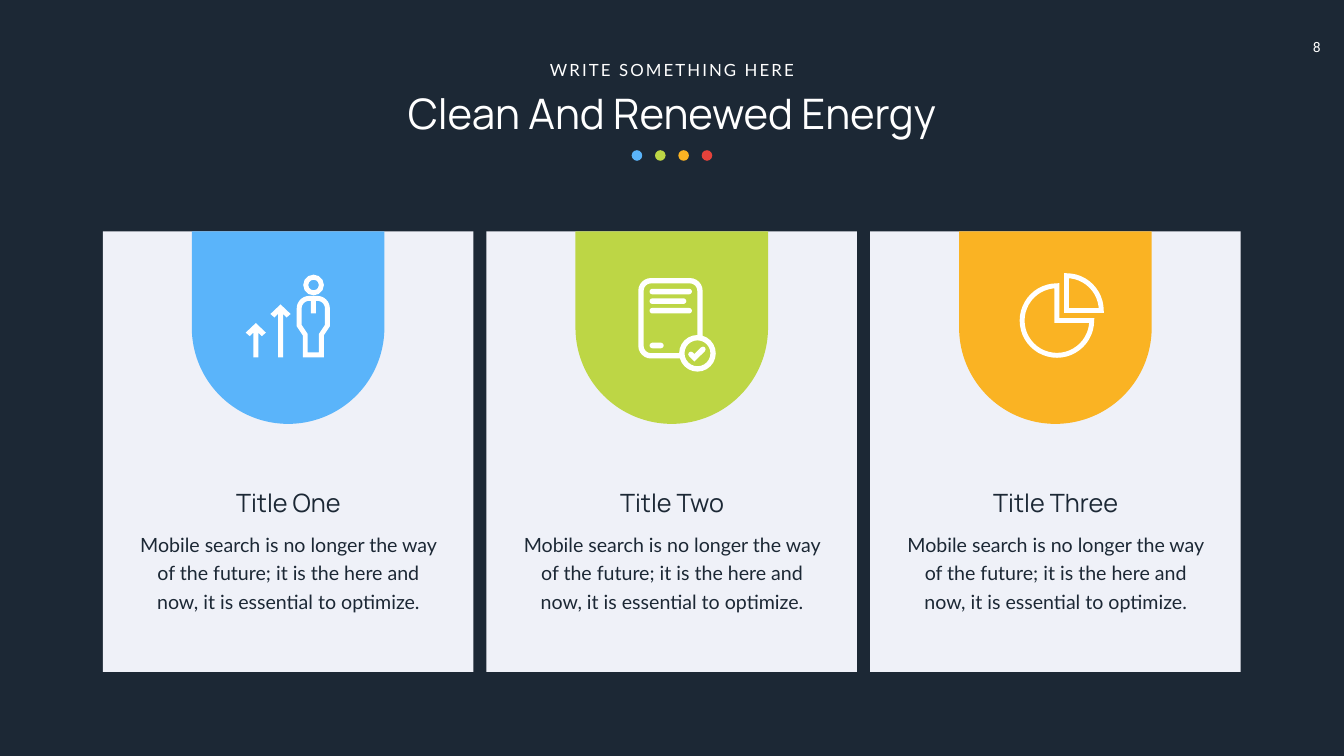
from math import cos, pi, sin

from lxml.etree import SubElement
from pptx import Presentation
from pptx.dml.color import RGBColor
from pptx.enum.shapes import MSO_SHAPE
from pptx.enum.text import MSO_ANCHOR, PP_ALIGN
from pptx.oxml.ns import qn
from pptx.util import Inches, Pt

NAVY, WHITE, PALE = "1C2835", "FFFFFF", "EFF1F8"
BLUE, GREEN, AMBER, RED = "5AB4FA", "BDD645", "FAB323", "E5423B"
BODY = ("Mobile search is no longer the way of the future; "
        "it is the here and now, it is essential to optimize.")


def rgb(value):
    return RGBColor.from_string(value)


def paint(sp, fill=None, stroke=None):
    sp.shadow.inherit = False
    if fill:
        sp.fill.solid()
        sp.fill.fore_color.rgb = rgb(fill)
    else:
        sp.fill.background()
    if stroke:
        sp.line.width = Pt(stroke)
        sp.line.color.rgb = rgb(WHITE)
        SubElement(sp.line._get_or_add_ln(), qn("a:miter"), lim="800000")
    else:
        sp.line.fill.background()
    return sp


def add_preset(slide, kind, x, y, w, h, fill=None, stroke=None):
    sp = slide.shapes.add_shape(kind, Inches(x), Inches(y), Inches(w), Inches(h))
    return paint(sp, fill, stroke)


def add_outline(slide, points, close=True, fill=None, stroke=None):
    points = [(Inches(x), Inches(y)) for x, y in points]
    builder = slide.shapes.build_freeform(*points[0], scale=1.0)
    builder.add_line_segments(points[1:], close=close)
    return paint(builder.convert_to_shape(), fill, stroke)


def write(sp, text, size, font, color, line_pt=None):
    tf = sp.text_frame
    tf.word_wrap = True
    p = tf.paragraphs[0]
    p.text = text
    p.alignment = PP_ALIGN.CENTER
    if line_pt:
        p.line_spacing = Pt(line_pt)
    p.font.size = Pt(size)
    p.font.name = font
    p.font.color.rgb = rgb(color)
    return tf


def add_text(slide, x, y, w, h, *style):
    sp = slide.shapes.add_textbox(Inches(x), Inches(y), Inches(w), Inches(h))
    return write(sp, *style)


def growth_icon(slide, x, y, fill):
    for tip_x, tip_y in ((1.27, 1.82), (1.76, 1.45)):
        length = 2.5 - tip_y
        half = [(0.2, 0.19), (0.12, 0.26), (0.05, 0.19), (0.05, length)]
        arrow = [(0, 0)] + half + [(-dx, dy) for dx, dy in reversed(half)]
        add_outline(slide, [(x + tip_x + dx, y + tip_y + dy) for dx, dy in arrow], fill=WHITE)
    angles = [i * pi / 16 for i in range(9)]
    shoulder = [(0.08 + 0.2 * sin(a), 1.53 - 0.2 * cos(a)) for a in angles]
    side = shoulder + [(0.28, 1.87), (0.16, 2.05), (0.16, 2.45)]
    body = side + [(-dx, dy) for dx, dy in reversed(side)]
    add_outline(slide, [(x + 2.41 + dx, y + dy) for dx, dy in body], stroke=7)
    add_preset(slide, MSO_SHAPE.RECTANGLE, x + 2.36, y + 1.33, 0.1, 0.3, WHITE)
    add_preset(slide, MSO_SHAPE.OVAL, x + 2.26, y + 0.91, 0.31, 0.31, stroke=7)


def document_icon(slide, x, y, fill):
    sheet = add_preset(slide, MSO_SHAPE.ROUNDED_RECTANGLE,
                       x + 1.3, y + 0.98, 1.17, 1.49, stroke=7.6)
    sheet.adjustments[0] = 0.17
    for top, width in ((1.14, 0.84), (1.33, 0.73), (1.52, 0.84), (2.21, 0.28)):
        bar = add_preset(slide, MSO_SHAPE.ROUNDED_RECTANGLE,
                         x + 1.47, y + top, width, 0.11, WHITE)
        bar.adjustments[0] = 0.5
    add_preset(slide, MSO_SHAPE.OVAL, x + 2.11, y + 2.11, 0.62, 0.62, fill, 7.6)
    check = [(2.29, 2.44), (2.36, 2.51), (2.53, 2.34)]
    tick = add_outline(slide, [(x + dx, y + dy) for dx, dy in check], close=False, stroke=7.6)
    tick.line._get_or_add_ln().set("cap", "rnd")


def pie_icon(slide, x, y, fill):
    add_preset(slide, MSO_SHAPE.PIE, x + 1.25, y + 1.08, 1.38, 1.38, stroke=7)
    wedge = add_preset(slide, MSO_SHAPE.PIE_WEDGE, x + 2.13, y + 0.88, 0.69, 0.69, stroke=7)
    wedge.rotation = 90


def add_header(slide, x, y, w):
    title = slide.shapes.title
    title.left, title.top = Inches(x), Inches(y + 0.55)
    title.width, title.height = Inches(w), Inches(1.11)
    tf = write(title, "Clean And Renewed Energy", 60, "Manrope", WHITE)
    tf.vertical_anchor = MSO_ANCHOR.MIDDLE
    center = x + w / 2
    tf = add_text(slide, center - 2.57, y, 5.14, 0.5,
                  "WRITE SOMETHING HERE", 24, "Lato", WHITE)
    tf.paragraphs[0].runs[0]._r.get_or_add_rPr().set("spc", "300")
    for i, color in enumerate((BLUE, GREEN, AMBER, RED)):
        add_preset(slide, MSO_SHAPE.OVAL, center - 0.8 + i * 0.463, y + 1.85, 0.21, 0.21, color)


def add_page_number(slide, x, y, w, h):
    tf = add_text(slide, x, y, w, h, "8", 20, "Roboto", WHITE)
    tf.margin_left, tf.margin_right = Inches(0.2), Inches(0.35)
    tf.margin_top = tf.margin_bottom = Inches(0.1)


def add_card(slide, x, y, w, h, heading, color, draw_icon):
    add_preset(slide, MSO_SHAPE.RECTANGLE, x, y, w, h, PALE)
    center = x + w / 2
    add_text(slide, center - 3.06, y + 5.83, 6.13, 1.77, BODY, 28, "Lato", NAVY, 40.8)
    add_text(slide, center - 2.02, y + 5.07, 4.05, 0.68, heading, 36, "Manrope", NAVY, 40.8)
    tab_x = center - 1.91
    tab = add_preset(slide, MSO_SHAPE.FLOWCHART_DELAY, tab_x, y, 3.82, 3.82, color)
    tab.rotation = 90
    draw_icon(slide, tab_x, y, color)


def main():
    prs = Presentation()
    prs.slide_width, prs.slide_height = Inches(26.66), Inches(15)
    slide = prs.slides.add_slide(prs.slide_layouts[5])
    slide.background.fill.solid()
    slide.background.fill.fore_color.rgb = rgb(NAVY)
    add_page_number(slide, 25.69, 0.67, 1.01, 0.54)
    add_header(slide, 5.3, 1.13, 16.06)
    cards = (("Title One", BLUE, growth_icon),
             ("Title Two", GREEN, document_icon),
             ("Title Three", AMBER, pie_icon))
    for i, card in enumerate(cards):
        add_card(slide, 2.04 + i * 7.61, 4.59, 7.35, 8.74, *card)
    prs.save("out.pptx")


if __name__ == "__main__":
    main()
